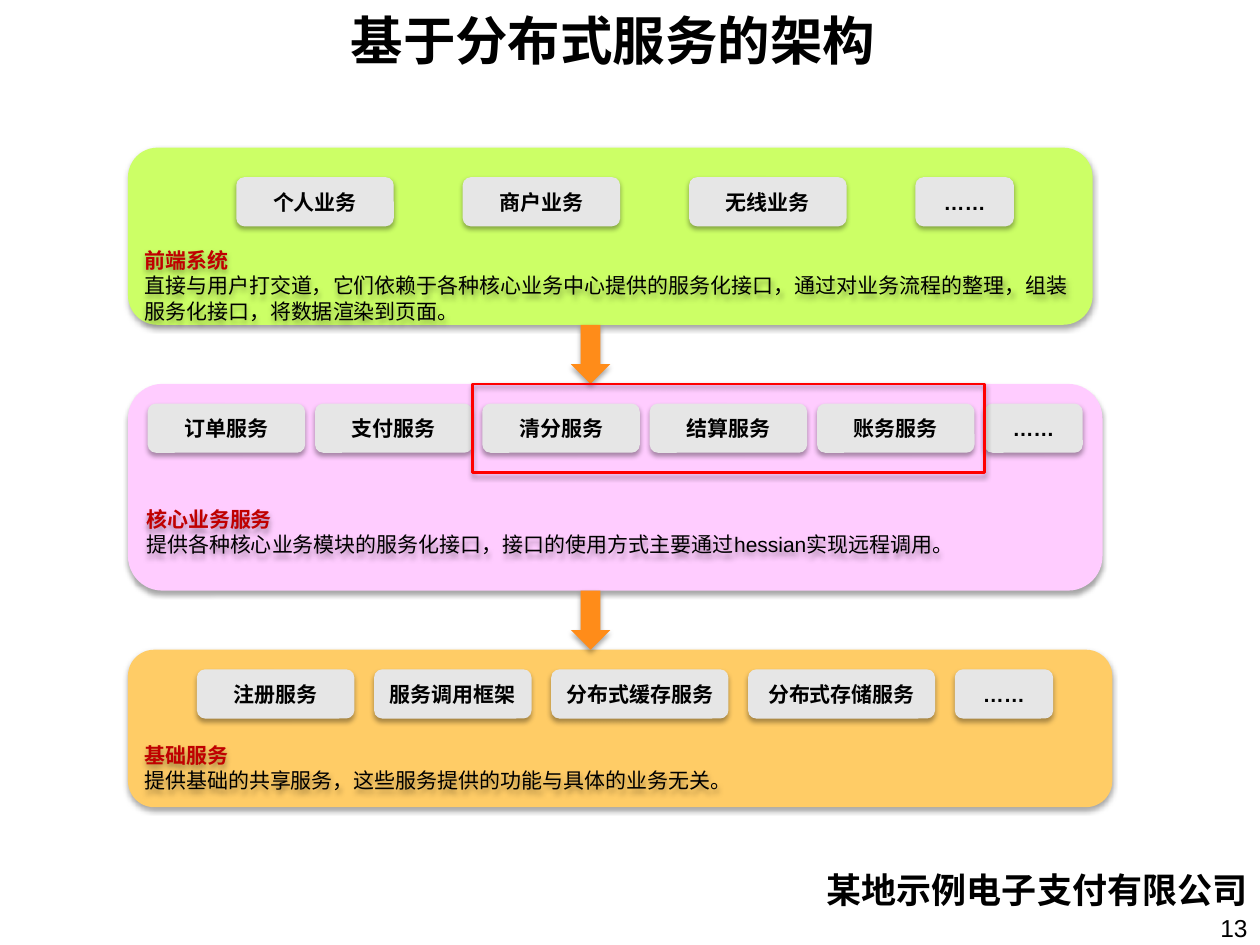
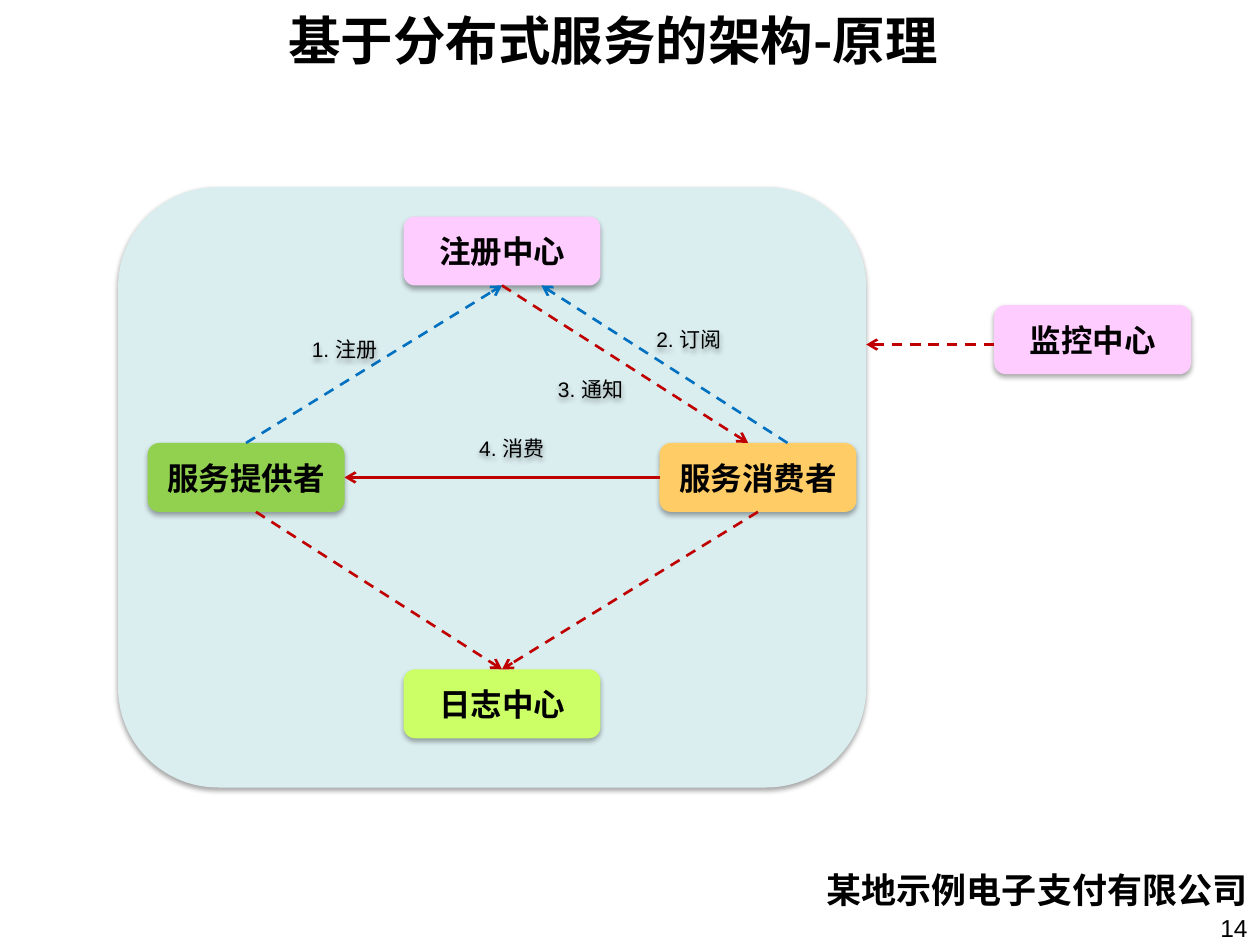
from lxml.etree import SubElement
from pptx import Presentation
from pptx.dml.color import RGBColor
from pptx.enum.dml import MSO_LINE
from pptx.enum.shapes import MSO_CONNECTOR, MSO_SHAPE
from pptx.enum.text import MSO_ANCHOR, MSO_AUTO_SIZE, PP_ALIGN
from pptx.oxml.ns import qn
from pptx.util import Inches, Pt

COLORS = {
    "black": "000000", "chip": "E6E6E6", "lime": "CCFF66", "pink": "FFCCFF",
    "amber": "FFCC66", "green": "92D050", "mist": "DAEDEF", "arrow": "FF8C19",
    "red": "FF0000", "crimson": "C00000", "blue": "0070C0",
}
CJK_FONT = "Noto Sans CJK SC"
COMPANY = "某地示例电子支付有限公司"

prs = Presentation()
prs.slide_width, prs.slide_height = Inches(10), Inches(7.5)
COLUMNS = 128  # square grid cells across the slide, 96 down
CELL = prs.slide_width / COLUMNS


def write(sp, lines, align=PP_ALIGN.CENTER, font="Arial"):
    """Fill a shape with lines of (text, size, colour, bold)."""
    tf = sp.text_frame
    tf.word_wrap = True
    tf.auto_size = MSO_AUTO_SIZE.NONE
    tf.vertical_anchor = MSO_ANCHOR.MIDDLE
    tf.text = "\n".join(line[0] for line in lines)
    for p, (_, size, color, bold) in zip(tf.paragraphs, lines):
        p.alignment = align
        f = p.runs[0].font
        f.size, f.bold, f.name = Pt(size), bold, font
        f.color.rgb = RGBColor.from_string(COLORS[color])
        SubElement(p.runs[0]._r.rPr, qn("a:ea"), typeface=CJK_FONT)


def add_box(s, cells, fill=None, kind=MSO_SHAPE.ROUNDED_RECTANGLE):
    """Add a shape with a soft shadow; cells are left, top, width, height."""
    sp = s.shapes.add_shape(kind, *(int(c * CELL) for c in cells))
    sp.line.fill.background()
    if fill:
        sp.fill.solid()
        sp.fill.fore_color.rgb = RGBColor.from_string(COLORS[fill])
    else:
        sp.fill.background()
    sp.shadow.inherit = False
    effects = sp._element.spPr.find(qn("a:effectLst"))
    shadow = SubElement(effects, qn("a:outerShdw"), blurRad=str(Pt(3.1)),
                        dist=str(Pt(1.8)), dir="5400000", rotWithShape="0")
    black = SubElement(shadow, qn("a:srgbClr"), val=COLORS["black"])
    SubElement(black, qn("a:alpha"), val="35000")
    return sp


# Title, company and page number of both slides
slides = []
for number, title in [(13, "基于分布式服务的架构"), (14, "基于分布式服务的架构-原理")]:
    s = prs.slides.add_slide(prs.slide_layouts[5])
    slides.append(s)
    sp = s.shapes.title
    sp.left, sp.top, sp.width, sp.height = (
        Inches(0.82), 0, Inches(8.09), Inches(0.62))
    write(sp, [(title, 30, "black", True)], font=CJK_FONT)
    for text, size, bold, left, top, height in [
            (str(number), 14, False, 9.38, 7.19, 0.34),
            (COMPANY, 20, True, 6.2, 6.85, 0.42)]:
        sp = s.shapes.add_textbox(Inches(left), Inches(top),
                                  prs.slide_width - Inches(left), Inches(height))
        write(sp, [(text, size, "black", bold)], PP_ALIGN.RIGHT)
        sp.text_frame.margin_right = Inches(0.1 if number == 0 else 0.1)
        sp.text_frame.margin_right = 0 if bold else Inches(0.1)
        sp.text_frame.margin_right = Inches(0.1)

# Slide 13: three layers of services
s = slides[0]
LAYER_LEFT, CHIP_HEIGHT = 13, 5
# fill, top, width, height, chip top, first chip, chip gap, note height,
# chips with their widths, heading, description
layers = [
    ("lime", 15, 98, 18, 18, 24, 7, 8,
     [("个人业务", 16), ("商户业务", 16), ("无线业务", 16), ("……", 10)],
     "前端系统",
     "直接与用户打交道，它们依赖于各种核心业务中心提供的服务化接口，"
     "通过对业务流程的整理，组装服务化接口，将数据渲染到页面。"),
    ("pink", 39, 99, 21, 41, 15, 1, 12,
     [("订单服务", 16), ("支付服务", 16), ("清分服务", 16), ("结算服务", 16),
      ("账务服务", 16), ("……", 10)],
     "核心业务服务",
     "提供各种核心业务模块的服务化接口，接口的使用方式主要通过hessian实现远程调用。"),
    ("amber", 66, 100, 16, 68, 20, 2, 8,
     [("注册服务", 16), ("服务调用框架", 16), ("分布式缓存服务", 18),
      ("分布式存储服务", 19), ("……", 10)],
     "基础服务",
     "提供基础的共享服务，这些服务提供的功能与具体的业务无关。"),
]
for (fill, top, width, height, chip_top, left, gap, note_height,
     chips, heading, description) in layers:
    add_box(s, (LAYER_LEFT, top, width, height), fill)
    for text, chip_width in chips:
        chip = add_box(s, (left, chip_top, chip_width, CHIP_HEIGHT), "chip")
        write(chip, [(text, 12, "black", True)])
        chip.text_frame.margin_left = chip.text_frame.margin_right = Inches(0.05)
        left += chip_width + gap
    bottom = top + height
    note = add_box(s, (LAYER_LEFT, bottom - note_height, width, note_height))
    write(note, [(heading, 12, "crimson", True),
                 (description, 12, "black", False)], PP_ALIGN.LEFT)

for upper, lower in zip(layers, layers[1:]):
    bottom = upper[1] + upper[3]
    add_box(s, (58, bottom, 4, lower[1] - bottom), "arrow", MSO_SHAPE.DOWN_ARROW)

highlight = add_box(s, (48, 39, 52, 9), kind=MSO_SHAPE.RECTANGLE)
highlight.line.color.rgb = RGBColor.from_string(COLORS["red"])
highlight.line.width = Pt(1.5)

# Slide 14: how the nodes work together
s = slides[1]
add_box(s, (12, 19, 76, 61), "mist")
nodes = {}
for name, left, top, fill in [
        ("监控中心", 101, 31, "pink"), ("注册中心", 41, 22, "pink"),
        ("日志中心", 41, 68, "lime"), ("服务提供者", 15, 45, "green"),
        ("服务消费者", 67, 45, "amber")]:
    nodes[name] = add_box(s, (left, top, 20, 7), fill)
    write(nodes[name], [(name, 18, "black", True)])

# An end is (node, side) where it joins a side's middle, else (column, row)
TOP, LEFT, BOTTOM, RIGHT = range(4)
for start, end, color, dashed in [
        (("服务提供者", TOP), ("注册中心", BOTTOM), "blue", True),
        ((80, 45), (55, 29), "blue", True),
        (("注册中心", BOTTOM), (76, 45), "crimson", True),
        (("服务消费者", LEFT), ("服务提供者", RIGHT), "crimson", False),
        (("服务消费者", BOTTOM), ("日志中心", TOP), "crimson", True),
        ((26, 52), ("日志中心", TOP), "crimson", True),
        ((101, 35), (88, 35), "crimson", True)]:
    points = [(0, 0) if e[0] in nodes else e for e in (start, end)]
    link = s.shapes.add_connector(
        MSO_CONNECTOR.STRAIGHT, *(int(c * CELL) for point in points for c in point))
    if start[0] in nodes:
        link.begin_connect(nodes[start[0]], start[1])
    if end[0] in nodes:
        link.end_connect(nodes[end[0]], end[1])
    link.line.color.rgb = RGBColor.from_string(COLORS[color])
    link.line.width = Pt(1.5)
    if dashed:
        link.line.dash_style = MSO_LINE.DASH
    SubElement(link.line._get_or_add_ln(), qn("a:tailEnd"), type="arrow")
    SubElement(link._element.spPr, qn("a:effectLst"))

for text, left, top in [("1. 注册", 30, 32), ("4. 消费", 47, 42),
                        ("2. 订阅", 65, 31), ("3. 通知", 55, 36)]:
    write(add_box(s, (left, top, 10, 7)), [(text, 12, "black", False)])

prs.save("out.pptx")
